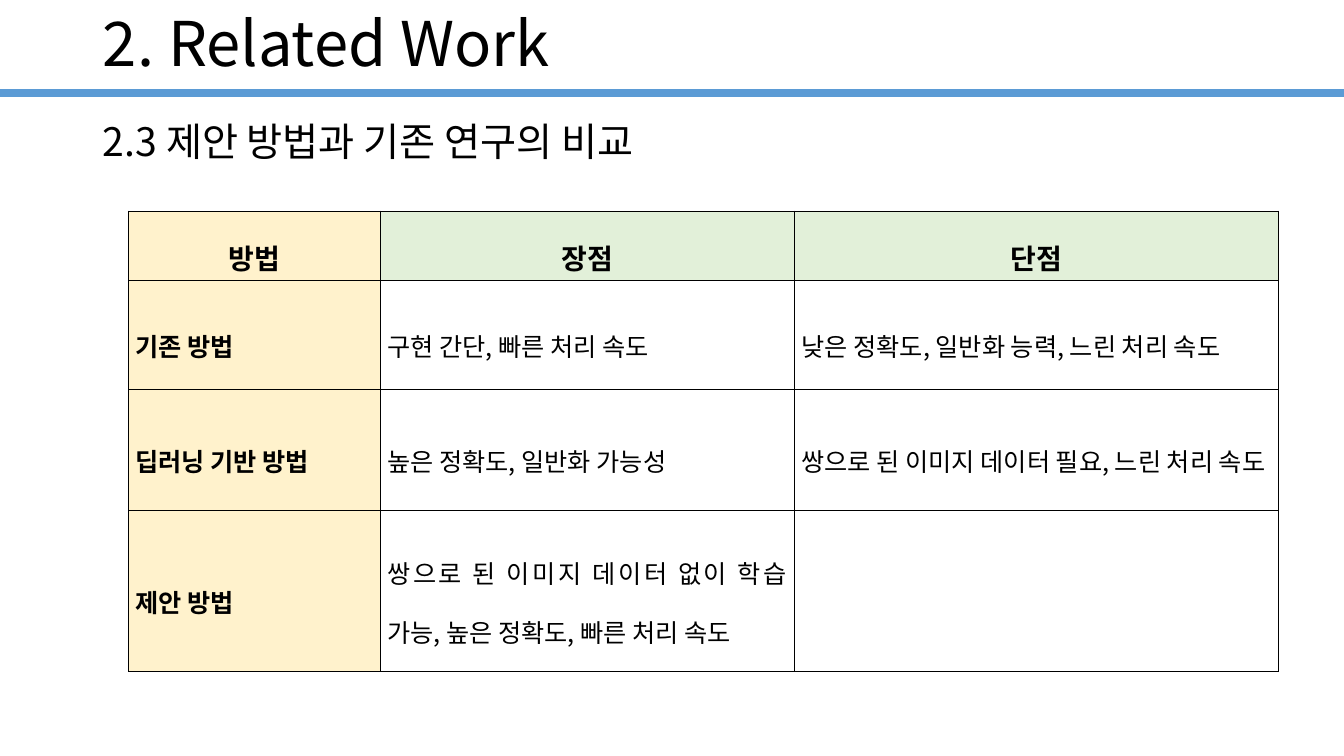
from dataclasses import dataclass

from lxml import etree
from pptx import Presentation
from pptx.dml.color import RGBColor
from pptx.enum.shapes import MSO_CONNECTOR
from pptx.enum.text import MSO_ANCHOR, MSO_AUTO_SIZE, PP_ALIGN
from pptx.oxml.ns import qn
from pptx.util import Cm, Pt

LEFT, CENTER, JUSTIFY = PP_ALIGN.LEFT, PP_ALIGN.CENTER, PP_ALIGN.JUSTIFY
TOP, MIDDLE = MSO_ANCHOR.TOP, MSO_ANCHOR.MIDDLE
NO_AUTOFIT = MSO_AUTO_SIZE.NONE
STRAIGHT = MSO_CONNECTOR.STRAIGHT


@dataclass(frozen=True)
class Theme:
    font: str = "Noto Sans CJK KR"
    ink: str = "000000"
    rule: str = "5B9BD5"
    method_fill: str = "FFF2CC"
    header_fill: str = "E2F0D9"
    title_size: float = 44
    subtitle_size: float = 28
    header_size: float = 20
    cell_size: float = 18
    rule_width: float = 6
    border_width: float = 0.28


@dataclass(frozen=True)
class Heading:
    text: str
    left: float
    top: float
    width: float
    height: float
    size: float
    anchor: MSO_ANCHOR
    space_before: float


@dataclass(frozen=True)
class Row:
    height: float
    texts: tuple[str, str, str]


THEME = Theme()
PAGE_WIDTH, PAGE_HEIGHT = 33.87, 19.05
RULE_TOP = 2.34
TABLE_LEFT, TABLE_TOP = 3.23, 5.31
COLUMN_WIDTHS = (6.35, 10.44, 12.19)

TITLE = Heading("2. Related Work", 2.34, 0, 29.21, 2.34, THEME.title_size, MIDDLE, 0)
SUBTITLE = Heading("2.3 제안 방법과 기존 연구의 비교", 2.34, 2.97, 30.76, 1.68,
                   THEME.subtitle_size, TOP, 10)
ROWS = (
    Row(1.47, ("방법", "장점", "단점")),
    Row(2.77, ("기존 방법", "구현 간단, 빠른 처리 속도",
               "낮은 정확도, 일반화 능력, 느린 처리 속도")),
    Row(2.77, ("딥러닝 기반 방법", "높은 정확도, 일반화 가능성",
               "쌍으로 된 이미지 데이터 필요, 느린 처리 속도")),
    Row(4.06, ("제안 방법",
               "쌍으로 된 이미지 데이터 없이 학습 가능, 높은 정확도, 빠른 처리 속도", "")),
)


def style_paragraph(para, size: float, align: PP_ALIGN, spacing: float,
                    bold: bool = False) -> None:
    para.alignment = align
    para.line_spacing = spacing
    para.font.size = Pt(size)
    para.font.bold = bold
    para.font.name = THEME.font
    para.font.color.rgb = RGBColor.from_string(THEME.ink)
    defaults = para._p.get_or_add_pPr().get_or_add_defRPr()
    etree.SubElement(defaults, qn("a:ea"), typeface=THEME.font)


def fill_heading(box, heading: Heading) -> None:
    box.left, box.top = Cm(heading.left), Cm(heading.top)
    box.width, box.height = Cm(heading.width), Cm(heading.height)
    frame = box.text_frame
    frame.text = heading.text
    frame.word_wrap = True
    frame.auto_size = NO_AUTOFIT
    frame.vertical_anchor = heading.anchor
    para = frame.paragraphs[0]
    para.space_before = Pt(heading.space_before)
    properties = para._p.get_or_add_pPr()
    properties.set("marL", "0")
    properties.set("indent", "0")
    etree.SubElement(properties, qn("a:buNone"))
    style_paragraph(para, heading.size, LEFT, 0.9)


def add_rule(page) -> None:
    rule = page.shapes.add_connector(STRAIGHT, 0, Cm(RULE_TOP), Cm(PAGE_WIDTH), Cm(RULE_TOP))
    rule.line.color.rgb = RGBColor.from_string(THEME.rule)
    rule.line.width = Pt(THEME.rule_width)
    etree.SubElement(rule._element.spPr, qn("a:effectLst"))


def add_borders(cell) -> None:
    properties = cell._tc.get_or_add_tcPr()
    for side in ("lnL", "lnR", "lnT", "lnB"):
        border = etree.SubElement(properties, qn(f"a:{side}"), w=str(Pt(THEME.border_width)))
        paint = etree.SubElement(border, qn("a:solidFill"))
        etree.SubElement(paint, qn("a:srgbClr"), val=THEME.ink)


def fill_cell(cell, text: str, is_header: bool, is_method: bool) -> None:
    add_borders(cell)
    if is_header or is_method:
        cell.fill.solid()
        color = THEME.method_fill if is_method else THEME.header_fill
        cell.fill.fore_color.rgb = RGBColor.from_string(color)
    else:
        cell.fill.background()
    cell.vertical_anchor = MIDDLE
    cell.margin_left = cell.margin_right = Cm(0.18)
    cell.margin_top = cell.margin_bottom = Cm(0.05)
    cell.text = text
    style_paragraph(cell.text_frame.paragraphs[0],
                    THEME.header_size if is_header else THEME.cell_size,
                    CENTER if is_header else JUSTIFY, 1.6, is_header or is_method)


def add_comparison(page) -> None:
    table = page.shapes.add_table(
        len(ROWS), len(COLUMN_WIDTHS), Cm(TABLE_LEFT), Cm(TABLE_TOP),
        Cm(sum(COLUMN_WIDTHS)), Cm(sum(row.height for row in ROWS))).table
    table.first_row = table.horz_banding = False
    for column, width in zip(table.columns, COLUMN_WIDTHS):
        column.width = Cm(width)
    for row_index, row in enumerate(ROWS):
        table.rows[row_index].height = Cm(row.height)
        for column_index, text in enumerate(row.texts):
            fill_cell(table.cell(row_index, column_index), text,
                      row_index == 0, column_index == 0)


def main() -> None:
    deck = Presentation()
    deck.slide_width, deck.slide_height = Cm(PAGE_WIDTH), Cm(PAGE_HEIGHT)
    page = deck.slides.add_slide(deck.slide_layouts[1])
    add_rule(page)
    fill_heading(page.shapes.title, TITLE)
    fill_heading(page.placeholders[1], SUBTITLE)
    add_comparison(page)
    deck.save("out.pptx")


if __name__ == "__main__":
    main()
